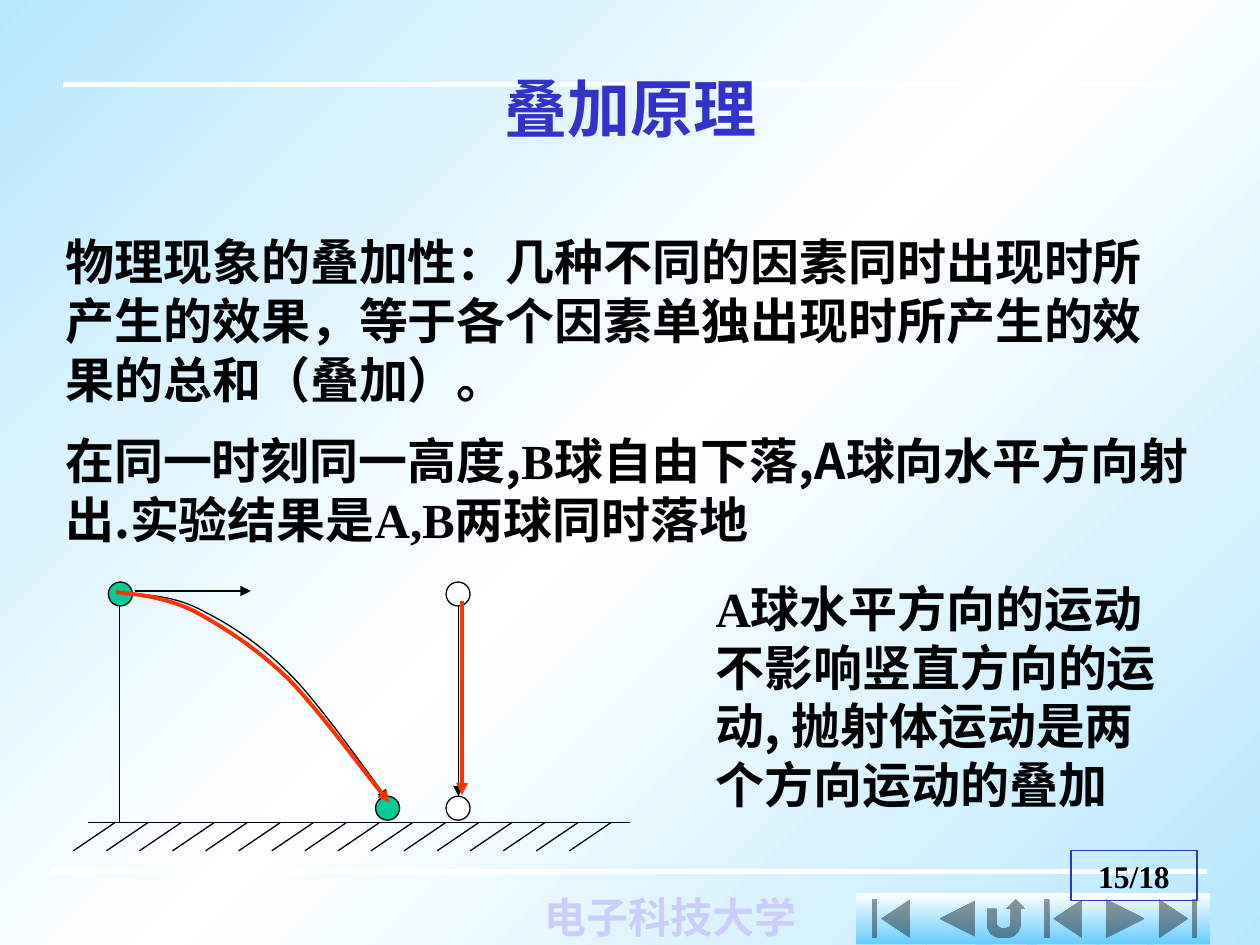
"""Builds the slide on the superposition principle."""
from dataclasses import dataclass

import pptx
import pptx.dml.color
import pptx.enum.shapes
import pptx.enum.text
import pptx.oxml.ns
import pptx.util
from lxml import etree

Pt = pptx.util.Pt
qn = pptx.oxml.ns.qn
MSO_SHAPE = pptx.enum.shapes.MSO_SHAPE
ALIGN = pptx.enum.text.PP_ALIGN
ANCHOR = pptx.enum.text.MSO_ANCHOR


@dataclass(frozen=True)
class Theme:
    """Colours, fonts and sizes of the slide."""
    sky: str = "B7E7FF"
    white: str = "FFFFFF"
    button: str = "66CCFF"
    ink: str = "000000"
    accent: str = "3333CC"
    pale: str = "CCCCFF"
    ball: str = "00CC99"
    path_red: str = "FF3300"
    cjk: str = "Noto Sans CJK SC"
    latin: str = "Times New Roman"
    title_size: float = 36
    body_size: float = 28
    school_size: float = 24
    page_size: float = 18
    thin: float = 0.75
    bold: float = 2.25
    rule: float = 3


THEME = Theme()


def rgb(value):
    """Turn a hex string into a colour."""
    return pptx.dml.color.RGBColor.from_string(value)


def gradient(fill, owner, colours, angle):
    """Fill with evenly spaced colour stops."""
    fill.gradient()
    fill.gradient_angle = angle
    stops = owner.find(".//" + qn("a:gsLst"))
    for stop in list(stops):
        stops.remove(stop)
    for i, colour in enumerate(colours):
        position = str(100000 * i // (len(colours) - 1))
        stop = etree.SubElement(stops, qn("a:gs"), pos=position)
        etree.SubElement(stop, qn("a:srgbClr"), val=colour)


def stroke(line, colour, width, arrow=False):
    """Style a line, with an optional arrowhead at its end."""
    line.color.rgb = rgb(colour)
    line.width = Pt(width)
    if arrow:
        etree.SubElement(line._get_or_add_ln(), qn("a:tailEnd"), type="triangle")


def segment(shapes, start, end, colour=THEME.ink, width=THEME.thin, arrow=False):
    """Draw a straight line between two points."""
    ends = [Pt(v) for v in (*start, *end)]
    link = shapes.add_connector(pptx.enum.shapes.MSO_CONNECTOR.STRAIGHT, *ends)
    stroke(link.line, colour, width, arrow)
    etree.SubElement(link.element.spPr, qn("a:effectLst"))


def bezier(p, t):
    """Return the point at t on a cubic curve."""
    weights = ((1 - t) ** 3, 3 * t * (1 - t) ** 2, 3 * t * t * (1 - t), t ** 3)
    return tuple(sum(w * q[axis] for w, q in zip(weights, p)) for axis in (0, 1))


def trajectory(shapes, knots, colour, width, steps=12):
    """Draw an arrow along a chain of cubic curves."""
    points = [bezier(knots[i:i + 4], s / steps)
              for i in range(0, len(knots) - 1, 3) for s in range(1, steps + 1)]
    builder = shapes.build_freeform(Pt(knots[0][0]), Pt(knots[0][1]))
    builder.add_line_segments([(Pt(x), Pt(y)) for x, y in points], close=False)
    curve = builder.convert_to_shape()
    curve.shadow.inherit = False
    curve.fill.background()
    stroke(curve.line, colour, width, arrow=True)


def ball(shapes, x, y, colour):
    """Draw a ball with its top left corner at x, y."""
    sphere = shapes.add_shape(MSO_SHAPE.OVAL, Pt(x), Pt(y), Pt(13.7), Pt(13.7))
    sphere.shadow.inherit = False
    sphere.fill.solid()
    sphere.fill.fore_color.rgb = rgb(colour)
    stroke(sphere.line, THEME.ink, THEME.thin)


def set_face(font, face):
    """Use one face for Latin and East Asian letters."""
    font.name = face
    latin = font._element.find(qn("a:latin"))
    latin.addnext(latin.makeelement(qn("a:ea"), {"typeface": face}))


def write(shape, runs, size, colour=THEME.ink, align=ALIGN.LEFT,
          anchor=ANCHOR.TOP, wrap=True):
    """Write one bold paragraph from (text, face) runs."""
    frame = shape.text_frame
    frame.auto_size = pptx.enum.text.MSO_AUTO_SIZE.NONE
    frame.word_wrap = wrap
    frame.vertical_anchor = anchor
    paragraph = frame.paragraphs[0]
    paragraph.alignment = align
    paragraph.space_before = Pt(0)
    properties = paragraph._p.get_or_add_pPr()
    properties.set("marL", "0")
    properties.set("indent", "0")
    etree.SubElement(properties, qn("a:buNone"))
    paragraph.font.size = Pt(size)
    paragraph.font.bold = True
    paragraph.font.color.rgb = rgb(colour)
    faces = {face for _, face in runs}
    mixed = len(faces) > 1
    if not mixed:
        set_face(paragraph.font, faces.pop())
    for text, face in runs:
        run = paragraph.add_run()
        run.text = text
        if mixed:
            set_face(run.font, face)


def text_box(slide, box, runs, size, **style):
    """Add a text box."""
    write(slide.shapes.add_textbox(*map(Pt, box)), runs, size, **style)


def fill_placeholder(holder, box, runs, size, **style):
    """Place a placeholder in front and write in it."""
    holder.left, holder.top, holder.width, holder.height = map(Pt, box)
    holder.element.getparent().append(holder.element)
    write(holder, runs, size, **style)


def frame_template(slide):
    """Draw the background, rules, school name and navigation buttons."""
    background = slide.background.fill
    gradient(background, slide.element, (THEME.sky, THEME.white, THEME.sky), 135)
    for left, right, y in ((30.2, 689.8, 498.2), (36, 672, 48.2)):
        segment(slide.shapes, (left, y), (right, y), THEME.white, THEME.rule)
    text_box(slide, (304, 507, 160, 34), [("电子科技大学", THEME.cjk)],
             THEME.school_size, colour=THEME.pale, anchor=ANCHOR.MIDDLE, wrap=False)
    buttons = ((MSO_SHAPE.ACTION_BUTTON_BEGINNING, 586.8, 41.8),
               (MSO_SHAPE.ACTION_BUTTON_BEGINNING, 488.9, 41),
               (MSO_SHAPE.ACTION_BUTTON_BACK_OR_PREVIOUS, 529.2, 37.8),
               (MSO_SHAPE.ACTION_BUTTON_RETURN, 557.3, 35.3),
               (MSO_SHAPE.ACTION_BUTTON_FORWARD_OR_NEXT, 626.4, 33),
               (MSO_SHAPE.ACTION_BUTTON_END, 655.2, 36))
    for kind, left, width in buttons:
        button = slide.shapes.add_shape(kind, Pt(left), Pt(510.3), Pt(width), Pt(29.3))
        button.shadow.inherit = False
        button.line.fill.background()
        gradient(button.fill, button.element, (THEME.white, THEME.button), 270)


def draw_experiment(slide):
    """Draw the ground, both balls and their paths."""
    setup = slide.shapes.add_group_shape().shapes
    ground = 470.2
    segment(setup, (50.4, ground), (360, ground))
    for i in range(16):
        x = 65.5 + 18.9 * i
        segment(setup, (x, ground), (x - 23.6, ground + 16))
    ball(setup, 61.9, 332.6, THEME.ball)
    ball(setup, 254.9, 332.6, THEME.white)
    segment(setup, (262, 345.6), (262, 455), arrow=True)
    segment(setup, (68.4, 346.3), (68.4, ground))
    trajectory(setup, ((75.6, 339.1), (89.3, 340.6), (102.2, 341.3), (117.4, 349.9),
                       (133.2, 357.8), (150.5, 369.4), (167.8, 387.4),
                       (185, 405.4), (213.1, 445.7), (221.8, 457.2)),
               THEME.ink, THEME.thin)
    segment(setup, (77, 337.7), (143.3, 337.7), arrow=True)
    ball(setup, 254.9, 455, THEME.white)
    ball(setup, 214.6, 455, THEME.ball)

    motion = slide.shapes.add_group_shape().shapes
    trajectory(motion, ((66.2, 338.4), (79.9, 339.8), (94.3, 341.3), (110.9, 349.2),
                        (126.7, 357.8), (145.4, 369.4), (164.2, 387.4),
                        (182.9, 406.1), (212.4, 447.1), (222.5, 458.6)),
               THEME.path_red, THEME.bold)
    segment(motion, (264, 343.4), (264, 454.3), THEME.path_red, THEME.bold, arrow=True)


def main():
    """Build and save the slide."""
    deck = pptx.Presentation()
    deck.slide_width, deck.slide_height = Pt(720), Pt(540)
    slide = deck.slides.add_slide(deck.slide_layouts[1])
    cjk, latin, size = THEME.cjk, THEME.latin, THEME.body_size
    frame_template(slide)
    principle = "物理现象的叠加性：几种不同的因素同时出现时所产生的效果，等于各个因素单独出现时所产生的效果的总和（叠加）。"
    fill_placeholder(slide.placeholders[1], (30.2, 128.9, 635.8, 113), [(principle, cjk)], size)
    text_box(slide, (30.2, 242.6, 660.2, 75),
             [("在同一时刻同一高度,", cjk), ("B", latin),
              ("球自由下落,A球向水平方向射出.实验结果是", cjk),
              ("A,B", latin), ("两球同时落地", cjk)], size)
    draw_experiment(slide)
    text_box(slide, (401.8, 326.9, 275.8, 141.8),
             [("A", latin), ("球水平方向的运动不影响竖直方向的运动, 抛射体运动是两个方向运动的叠加", cjk)], size)
    page = slide.shapes.add_shape(MSO_SHAPE.RECTANGLE, Pt(612), Pt(486), Pt(72), Pt(28.8))
    page.shadow.inherit = False
    page.fill.background()
    stroke(page.line, THEME.accent, THEME.thin)
    write(page, [("15/18", latin)], THEME.page_size, align=ALIGN.CENTER, anchor=ANCHOR.MIDDLE)
    fill_placeholder(slide.shapes.title, (270, 36, 180, 50.4), [("叠加原理", cjk)],
                     THEME.title_size, colour=THEME.accent, align=ALIGN.CENTER,
                     anchor=ANCHOR.MIDDLE)
    deck.save("out.pptx")


if __name__ == "__main__":
    main()
